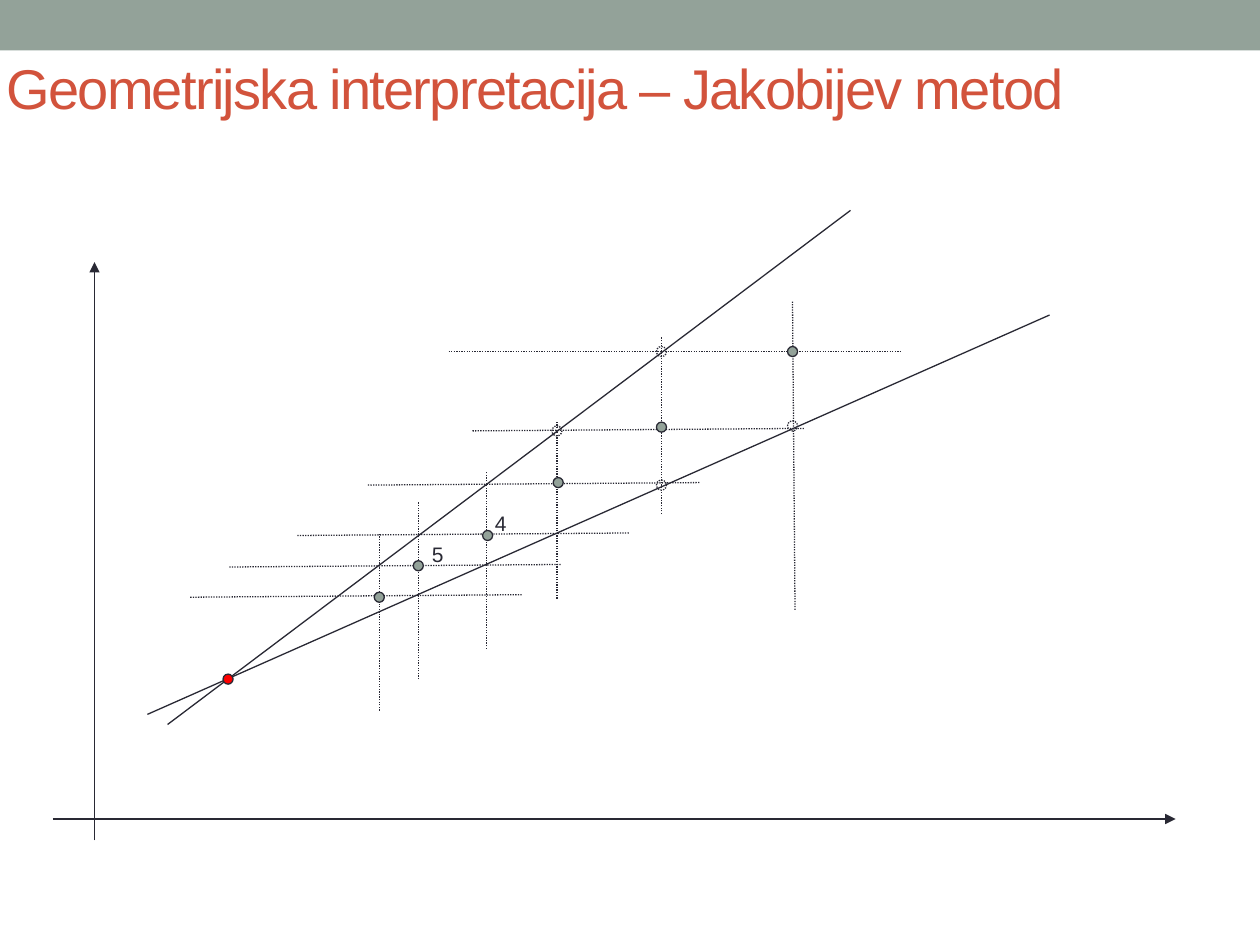
from lxml import etree
from pptx import Presentation
from pptx.dml.color import RGBColor
from pptx.enum.dml import MSO_LINE
from pptx.enum.shapes import MSO_CONNECTOR, MSO_SHAPE
from pptx.enum.text import MSO_ANCHOR
from pptx.oxml.ns import qn
from pptx.util import Inches, Pt

STRAIGHT = MSO_CONNECTOR.STRAIGHT
RECTANGLE = MSO_SHAPE.RECTANGLE
OVAL = MSO_SHAPE.OVAL
DOTTED = MSO_LINE.ROUND_DOT
MIDDLE = MSO_ANCHOR.MIDDLE

SAGE = RGBColor(0x93, 0xA2, 0x99)
BRICK = RGBColor(0xD2, 0x53, 0x3C)
INK = RGBColor(0x29, 0x29, 0x34)
RED = RGBColor(0xFF, 0x00, 0x00)

DOT_SIZE = 0.08
GUIDE_WIDTH = 2.64
GUIDE_RISE = 0.02
GUIDE_HEIGHT = 1.41

AXES = [(0.75, 6.67, 0.75, 2.08), (0.42, 6.5, 9.33, 6.5)]
EQUATION_LINES = [(1.33, 5.75, 6.75, 1.67), (1.17, 5.67, 8.33, 2.5)]
FIRST_GUIDES = [(3.56, 2.79, 7.15, 2.79), (6.31, 4.84, 6.29, 2.39)]
HORIZONTAL_STARTS = [(3.75, 3.42), (2.92, 3.85), (2.36, 4.25), (1.82, 4.5), (1.51, 4.74)]
VERTICAL_STARTS = [(5.25, 4.08), (4.42, 4.75), (3.86, 5.15), (3.32, 5.39), (3.01, 5.64)]
ITERATIONS = [(6.25, 2.75), (5.21, 3.35), (4.39, 3.79), (3.83, 4.21), (3.28, 4.45), (2.97, 4.7)]
INTERSECTIONS = [(5.21, 2.75), (6.25, 3.34), (4.38, 3.38), (5.21, 3.81)]
SOLUTION = (1.77, 5.35)
STEP_LABELS = [("4", 3.83, 4), ("5", 3.33, 4.25)]


def style_line(line, dash=None):
    """Give a line or outline the thin ink stroke."""
    line.color.rgb = INK
    line.width = Pt(0.75)
    if dash is not None:
        line.dash_style = dash


def add_line(slide, ends, dash=None, arrow=False):
    """Add a straight line, optionally dotted or with an arrowhead."""
    connector = slide.shapes.add_connector(STRAIGHT, *map(Inches, ends))
    style_line(connector.line, dash)
    properties = connector._element.spPr
    if arrow:
        etree.SubElement(properties.find(qn("a:ln")), qn("a:tailEnd"), type="triangle")
    etree.SubElement(properties, qn("a:effectLst"))


def add_dot(slide, position, fill=None):
    """Add a filled point, or a hollow dotted one when no fill is given."""
    dot = slide.shapes.add_shape(OVAL, *map(Inches, (*position, DOT_SIZE, DOT_SIZE)))
    dot.shadow.inherit = False
    if fill is None:
        dot.fill.background()
        style_line(dot.line, DOTTED)
    else:
        dot.fill.solid()
        dot.fill.fore_color.rgb = fill
        style_line(dot.line)


def add_banner(slide):
    """Add the colour band along the top edge."""
    banner = slide.shapes.add_shape(RECTANGLE, 0, 0, Inches(10), Inches(0.4))
    banner.shadow.inherit = False
    banner.fill.solid()
    banner.fill.fore_color.rgb = SAGE
    banner.line.fill.background()


def add_text(slide, text, box, font_format, frame_format):
    """Add a one-line text box and return its run."""
    frame = slide.shapes.add_textbox(*map(Inches, box)).text_frame
    for name, value in frame_format.items():
        setattr(frame, name, value)
    run = frame.paragraphs[0].add_run()
    run.text = text
    font_values = dict(font_format)
    run.font.color.rgb = font_values.pop("color")
    for name, value in font_values.items():
        setattr(run.font, name, value)
    return run


def add_title(slide):
    """Add the tightly spaced slide title."""
    run = add_text(
        slide, "Geometrijska interpretacija – Jakobijev metod", (0, 0.15, 9.83, 1.08),
        {"name": "Arial", "size": Pt(32), "color": BRICK},
        {"word_wrap": True, "vertical_anchor": MIDDLE, "margin_left": Inches(0.05)},
    )
    run._r.get_or_add_rPr().set("spc", "-100")


def add_guides(slide):
    """Add the dotted lines that trace each iteration."""
    horizontals = [(x, y, x + GUIDE_WIDTH, y - GUIDE_RISE) for x, y in HORIZONTAL_STARTS]
    verticals = [(x, y, x, y - GUIDE_HEIGHT) for x, y in VERTICAL_STARTS]
    for ends in FIRST_GUIDES + horizontals + verticals:
        add_line(slide, ends, dash=DOTTED)


def main():
    """Build and save the slide."""
    presentation = Presentation()
    presentation.slide_width = Inches(10)
    presentation.slide_height = Inches(7.5)
    slide = presentation.slides.add_slide(presentation.slide_layouts[6])
    add_banner(slide)
    add_title(slide)
    for ends in EQUATION_LINES:
        add_line(slide, ends)
    for ends in AXES:
        add_line(slide, ends, arrow=True)
    add_guides(slide)
    for position in INTERSECTIONS:
        add_dot(slide, position)
    for position in ITERATIONS:
        add_dot(slide, position, SAGE)
    add_dot(slide, SOLUTION, RED)
    label_format = {"name": "Arial", "size": Pt(12), "color": INK}
    for text, left, top in STEP_LABELS:
        add_text(slide, text, (left, top, 0.3, 0.3), label_format, {"word_wrap": False})
    presentation.save("out.pptx")


if __name__ == "__main__":
    main()
